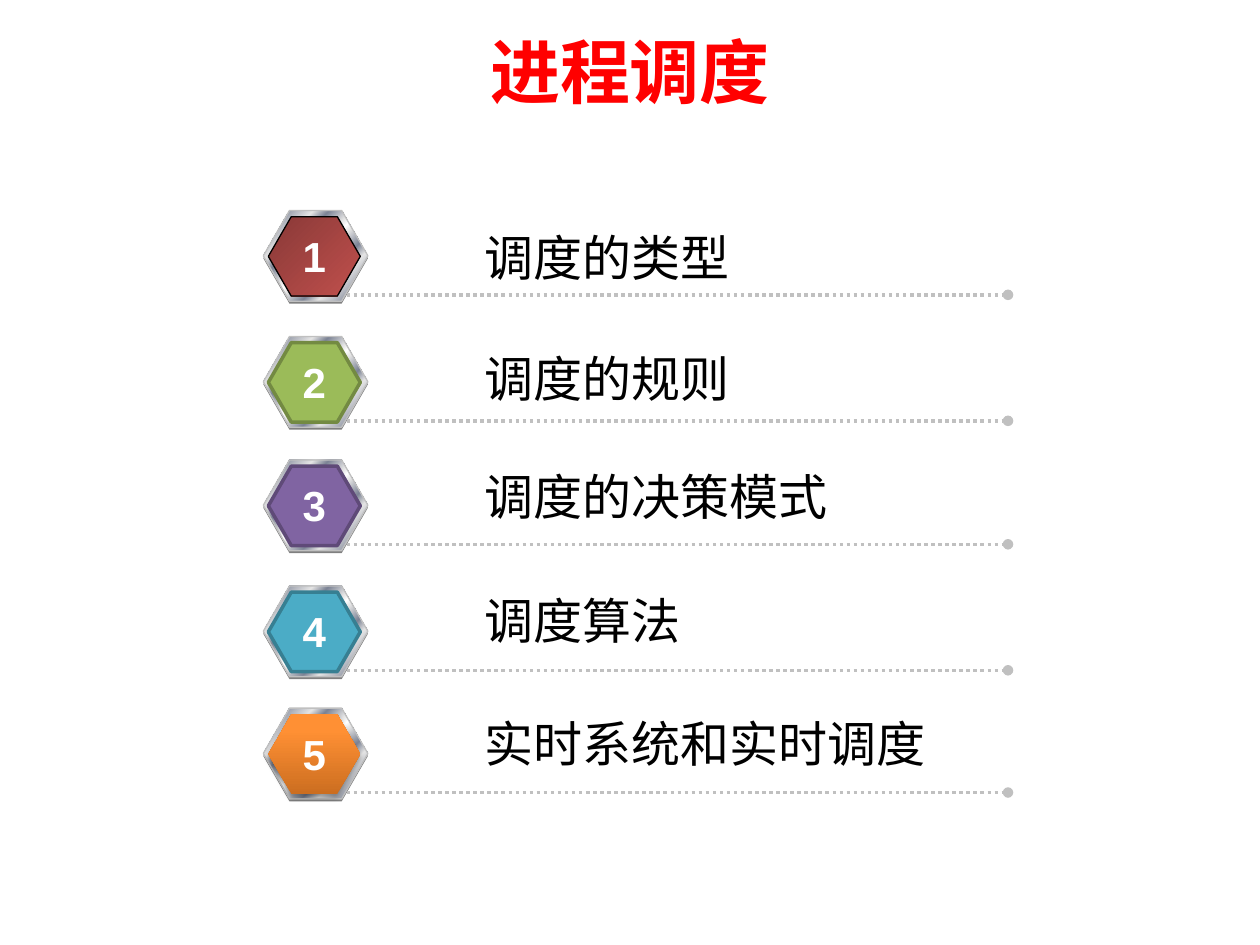
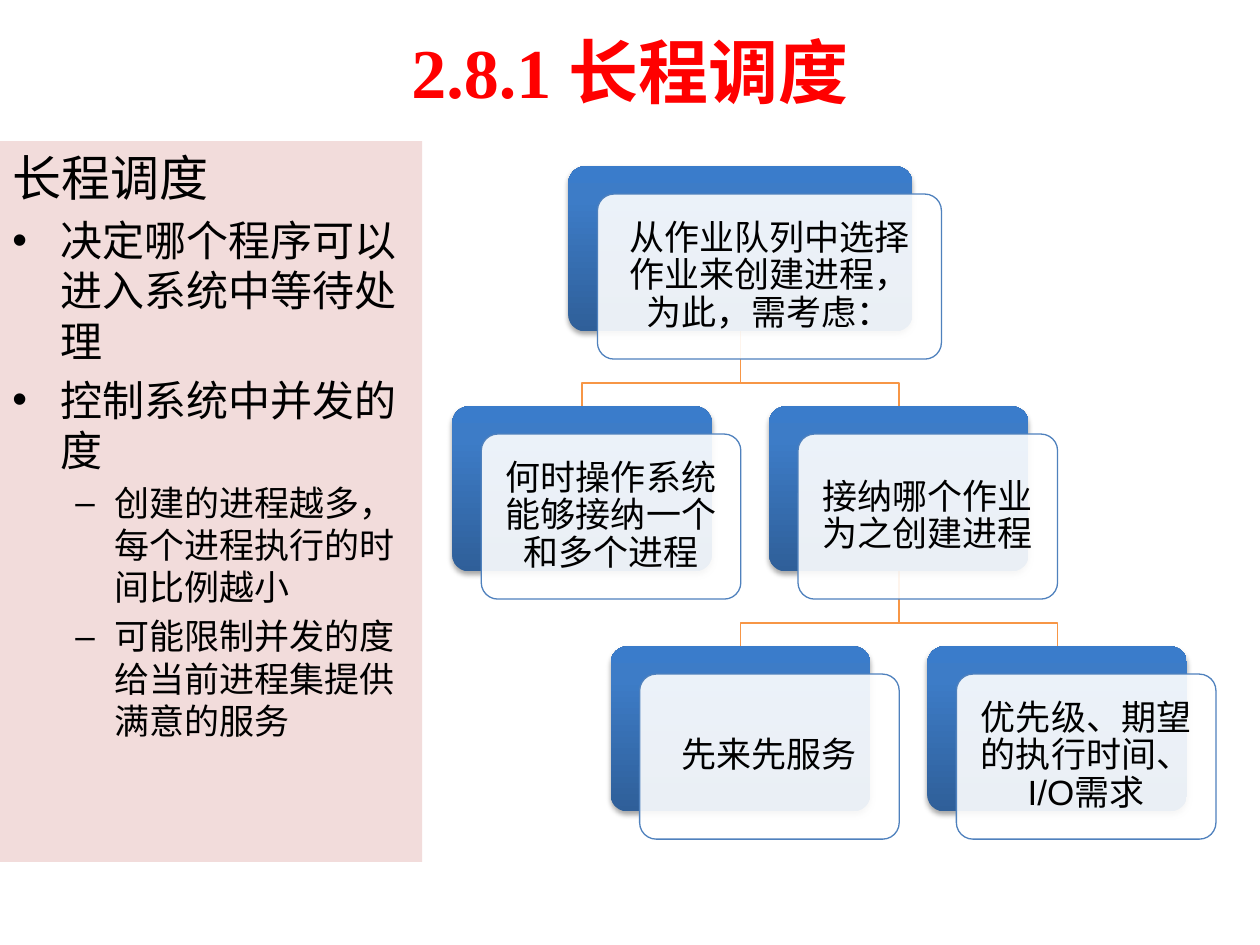
from lxml import etree
from pptx import Presentation
from pptx.dml.color import RGBColor
from pptx.enum.dml import MSO_LINE
from pptx.enum.shapes import MSO_CONNECTOR, MSO_SHAPE
from pptx.enum.text import MSO_ANCHOR, PP_ALIGN
from pptx.oxml.ns import qn
from pptx.util import Inches, Pt

HEXAGON, RECTANGLE, ROUNDED = MSO_SHAPE.HEXAGON, MSO_SHAPE.RECTANGLE, MSO_SHAPE.ROUNDED_RECTANGLE
STRAIGHT, DOTTED = MSO_CONNECTOR.STRAIGHT, MSO_LINE.ROUND_DOT
CENTER, LEFT = PP_ALIGN.CENTER, PP_ALIGN.LEFT
MIDDLE, TOP = MSO_ANCHOR.MIDDLE, MSO_ANCHOR.TOP

RED = RGBColor(0xFF, 0x00, 0x00)
BLACK = RGBColor(0x00, 0x00, 0x00)
WHITE = RGBColor(0xFF, 0xFF, 0xFF)
GRAY = RGBColor(0x80, 0x80, 0x80)
SILVER = RGBColor(0xC0, 0xC0, 0xC0)
PALE = RGBColor(0xE6, 0xE6, 0xE6)
STEEL = RGBColor(0x7D, 0x84, 0x96)
GREEN, DARK_GREEN = RGBColor(0x9B, 0xBB, 0x59), RGBColor(0x73, 0x8A, 0x42)
PURPLE, DARK_PURPLE = RGBColor(0x80, 0x64, 0xA2), RGBColor(0x5F, 0x4A, 0x78)
TEAL, DARK_TEAL = RGBColor(0x4B, 0xAC, 0xC6), RGBColor(0x37, 0x7F, 0x92)
PINK = RGBColor(0xF2, 0xDC, 0xDB)
ORANGE = RGBColor(0xF7, 0x96, 0x46)
BLUE = RGBColor(0x4F, 0x81, 0xBD)

# Gradients: clockwise angle and (percent, colour) stops
METAL = (45, [(0, PALE), (8, STEEL), (26, PALE), (34, STEEL), (46, PALE), (50, WHITE),
              (54, PALE), (66, STEEL), (74, PALE), (92, STEEL), (100, PALE)])
MAROON_FADE = (45, [(0, RGBColor(0x89, 0x39, 0x37)), (100, RGBColor(0xC0, 0x50, 0x4D))])
ORANGE_FADE = (270, [(0, RGBColor(0xCC, 0x6E, 0x20)), (80, RGBColor(0xFF, 0x90, 0x34)),
                     (100, RGBColor(0xFF, 0x91, 0x36))])
BLUE_FADE = (270, [(0, RGBColor(0x2F, 0x5F, 0x99)), (80, RGBColor(0x3D, 0x7C, 0xC7)),
                   (100, RGBColor(0x3A, 0x7C, 0xCB))])

# Text formats
TITLE = {"size": Pt(40), "name": "Times New Roman", "bold": True}
NUMBER = {"size": Pt(24), "name": "Arial", "bold": True}
TOPIC = {"size": Pt(28), "name": "Arial"}
POINT = {"size": Pt(24), "name": "Arial"}
DETAIL = {"size": Pt(20), "name": "Arial"}

# Agenda: topic, badge top, topic top, badge fill, badge line (colour, points), shadow
AGENDA_TITLE = "进程调度"
AGENDA = [
    ("调度的类型", 1.67, 1.76, MAROON_FADE, (BLACK, 0.75), False),
    ("调度的规则", 2.67, 2.72, GREEN, (DARK_GREEN, 2), False),
    ("调度的决策模式", 3.65, 3.65, PURPLE, (DARK_PURPLE, 2), False),
    ("调度算法", 4.65, 4.64, TEAL, (DARK_TEAL, 2), False),
    ("实时系统和实时调度", 5.62, 5.61, ORANGE_FADE, None, True),
]

# Long-term scheduling: text, format, bullet, left margin, hanging indent, space before
LONG_TERM_TITLE = "2.8.1 长程调度"
LONG_TERM_POINTS = [
    ("长程调度", TOPIC, None, 0, 0, 0),
    ("决定哪个程序可以进入系统中等待处理", POINT, "•", 0.38, 0.38, 4.8),
    ("控制系统中并发的度", POINT, "•", 0.38, 0.38, 4.8),
    ("创建的进程越多，每个进程执行的时间比例越小", DETAIL, "–", 0.81, 0.31, 4),
    ("可能限制并发的度给当前进程集提供满意的服务", DETAIL, "–", 0.81, 0.31, 4),
]

# Decision tree: text, column, level, width, parent index
DECISIONS = [
    ("从作业队列中选择作业来创建进程， 为此，需考虑：", 1, 0, 2.73, None),
    ("何时操作系统能够接纳一个和多个进程", 0, 1, 2.06, 0),
    ("接纳哪个作业为之创建进程", 2, 1, 2.06, 0),
    ("先来先服务", 1, 2, 2.06, 2),
    ("优先级、期望的执行时间、I/O需求", 3, 2, 2.06, 2),
]
TREE_LEFT, TREE_TOP = 4.62, 1.32
COLUMN_STEP, LEVEL_STEP = 1.257, 1.905
CARD_HEIGHT, CARD_SHIFT, TRUNK = 1.31, 0.22, 0.41


def box(*lengths):
    return [Inches(length) for length in lengths]


def set_fill(shape, fill):
    if not isinstance(fill, tuple) or isinstance(fill, RGBColor):
        shape.fill.solid()
        shape.fill.fore_color.rgb = fill
        return
    angle, stops = fill
    shape.fill.gradient()
    shape.fill.gradient_angle = 360 - angle
    stop_list = shape.element.spPr.find(qn("a:gradFill")).find(qn("a:gsLst"))
    for stop in list(stop_list):
        stop_list.remove(stop)
    for percent, color in stops:
        stop = etree.SubElement(stop_list, qn("a:gs"), pos=str(percent * 1000))
        etree.SubElement(stop, qn("a:srgbClr"), val=str(color))


def set_line(shape, line):
    if line is None:
        shape.line.fill.background()
    else:
        color, points = line
        shape.line.color.rgb = color
        shape.line.width = Pt(points)


def add_shadow(shape):
    effects = shape.element.spPr.find(qn("a:effectLst"))
    shadow = etree.SubElement(effects, qn("a:outerShdw"), blurRad=str(Pt(3.1)),
                              dist=str(Pt(1.8)), dir="5400000", rotWithShape="0")
    color = etree.SubElement(shadow, qn("a:srgbClr"), val=str(BLACK))
    etree.SubElement(color, qn("a:alpha"), val="35000")


def add_block(slide, kind, place, fill, line=None, adjustments=(), shadow=False):
    shape = slide.shapes.add_shape(kind, *box(*place))
    shape.shadow.inherit = False
    set_fill(shape, fill)
    set_line(shape, line)
    for index, value in enumerate(adjustments):
        shape.adjustments[index] = value
    if shadow:
        add_shadow(shape)
    return shape


def write(paragraph, text, text_format, color=BLACK, align=LEFT):
    paragraph.alignment = align
    run = paragraph.add_run()
    run.text = text
    for name, value in text_format.items():
        setattr(run.font, name, value)
    run.font.color.rgb = color


def add_text(slide, place, text, text_format, color=BLACK, align=LEFT, anchor=TOP, wrap=True):
    frame = slide.shapes.add_textbox(*box(*place)).text_frame
    frame.word_wrap = wrap
    frame.vertical_anchor = anchor
    write(frame.paragraphs[0], text, text_format, color, align)


def add_titled_slide(presentation, title):
    slide = presentation.slides.add_slide(presentation.slide_layouts[6])
    add_text(slide, (0.5, 0.05, 9, 1.02), title, TITLE, RED, CENTER, MIDDLE)
    return slide


def add_dotted_rule(slide, y):
    rule = slide.shapes.add_connector(STRAIGHT, *box(2.75, y, 8, y))
    set_line(rule, (SILVER, 2))
    rule.line.dash_style = DOTTED
    properties = rule.element.spPr
    etree.SubElement(properties.find(qn("a:ln")), qn("a:tailEnd"), type="oval")
    etree.SubElement(properties, qn("a:effectLst"))


def build_agenda(presentation):
    slide = add_titled_slide(presentation, AGENDA_TITLE)
    hexagon = (0.289, 1.155)
    for number, (topic, top, topic_top, fill, line, shadow) in enumerate(AGENDA, 1):
        # Badge: base, metal rim, coloured face
        add_block(slide, HEXAGON, (2.09, top + 0.02, 0.83, 0.72), GRAY, None, hexagon)
        add_block(slide, HEXAGON, (2.09, top, 0.83, 0.72), METAL, (SILVER, 0.75), hexagon)
        add_block(slide, HEXAGON, (2.13, top + 0.05, 0.73, 0.63), fill, line, hexagon, shadow)
        add_dotted_rule(slide, top + 0.67)
        add_text(slide, (3.75, topic_top, 4.49, 0.57), topic, TOPIC)
        add_text(slide, (2.3, top + 0.11, 0.39, 0.5), str(number), NUMBER, WHITE, CENTER,
                 wrap=False)


def add_points(slide):
    panel = add_block(slide, RECTANGLE, (0, 1.12, 3.35, 5.72), PINK)
    frame = panel.text_frame
    frame.word_wrap = True
    frame.vertical_anchor = TOP
    for index, (text, text_format, bullet, margin, hang, before) in enumerate(LONG_TERM_POINTS):
        paragraph = frame.add_paragraph() if index else frame.paragraphs[0]
        paragraph.space_before = Pt(before)
        if bullet:
            properties = paragraph._p.get_or_add_pPr()
            properties.set("marL", str(Inches(margin)))
            properties.set("indent", str(-Inches(hang)))
            etree.SubElement(properties, qn("a:buFont"), typeface="Arial")
            etree.SubElement(properties, qn("a:buChar"), char=bullet)
        write(paragraph, text, text_format)


def node_center(node):
    return TREE_LEFT + node[1] * COLUMN_STEP


def node_top(node):
    return TREE_TOP + node[2] * LEVEL_STEP


def add_branch(slide, parent, child):
    start_x, end_x = node_center(parent), node_center(child)
    start_y = node_top(parent) + CARD_HEIGHT
    bend_y = start_y + TRUNK
    builder = slide.shapes.build_freeform(*box(start_x, start_y))
    corners = [(start_x, bend_y), (end_x, bend_y), (end_x, node_top(child))]
    builder.add_line_segments([box(*corner) for corner in corners], close=False)
    branch = builder.convert_to_shape()
    branch.shadow.inherit = False
    branch.fill.background()
    set_line(branch, (ORANGE, 0.75))


def add_decision(slide, node):
    text, width = node[0], node[3]
    left, top = node_center(node) - width / 2, node_top(node)
    add_block(slide, ROUNDED, (left, top, width, CARD_HEIGHT), BLUE_FADE, None, (0.1,), True)
    card = add_block(slide, ROUNDED, (left + CARD_SHIFT + 0.01, top + CARD_SHIFT, width, CARD_HEIGHT),
                     WHITE, (BLUE, 0.75), (0.1,))
    fill_color = card.element.spPr.find(qn("a:solidFill"))[0]
    etree.SubElement(fill_color, qn("a:alpha"), val="90000")
    frame = card.text_frame
    frame.word_wrap = True
    frame.vertical_anchor = MIDDLE
    for side in ("left", "top", "right", "bottom"):
        setattr(frame, f"margin_{side}", Inches(0.08))
    paragraph = frame.paragraphs[0]
    paragraph.line_spacing = 0.9
    write(paragraph, text, DETAIL, align=CENTER)


def build_long_term(presentation):
    slide = add_titled_slide(presentation, LONG_TERM_TITLE)
    add_points(slide)
    # Branches lie behind the cards
    for node in reversed(DECISIONS):
        if node[4] is not None:
            add_branch(slide, DECISIONS[node[4]], node)
    for node in DECISIONS:
        add_decision(slide, node)


def main():
    presentation = Presentation()
    presentation.slide_width, presentation.slide_height = box(10, 7.5)
    build_agenda(presentation)
    build_long_term(presentation)
    presentation.save("out.pptx")


if __name__ == "__main__":
    main()
